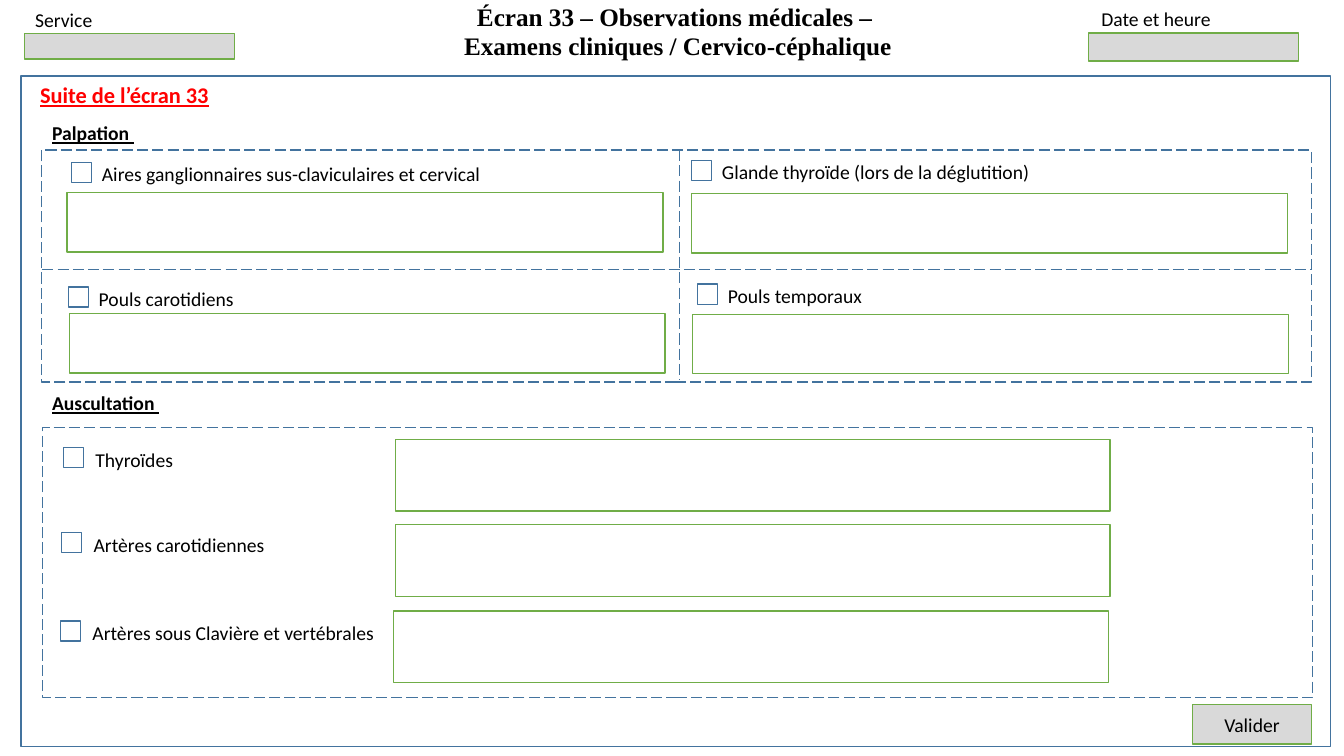
from dataclasses import dataclass
from lxml.etree import SubElement
from pptx import Presentation
from pptx.dml.color import RGBColor
from pptx.enum.dml import MSO_LINE
from pptx.enum.shapes import MSO_CONNECTOR, MSO_SHAPE
from pptx.enum.text import MSO_ANCHOR, MSO_AUTO_SIZE, PP_ALIGN
from pptx.oxml.ns import qn
from pptx.util import Pt

COLORS = {"blue": "43739E", "green": "70AD47", "grey": "D9D9D9",
          "red": "FF0000", "black": "000000"}
BODY = {"name": "Calibri", "size": Pt(14)}
HEADING = BODY | {"bold": True, "underline": True}
BANNER = HEADING | {"size": Pt(16)}
TITLE = {"name": "Times New Roman", "size": Pt(18), "bold": True}
CHECK_SIZE = 14.4
LABEL_HEIGHT = 24.5
LABEL_RISE = 3.6


@dataclass
class Area:
    left: float
    top: float
    width: float
    height: float

    def lengths(self) -> list[Pt]:
        return [Pt(v) for v in (self.left, self.top, self.width, self.height)]


@dataclass
class Finding:
    """A tick box with its label and its entry field."""
    label: str
    check_left: float
    check_top: float
    label_width: float
    field_left: float
    field_top: float


@dataclass
class Section:
    heading: str
    heading_area: Area
    panel: Area
    label_gap: float
    field_size: tuple[float, float]
    findings: list[Finding]


SECTIONS = [
    Section("Palpation ", Area(30.1, 82.8, 73.5, LABEL_HEIGHT),
            Area(29.6, 107.2, 907.2, 165.6), 14.6, (425.5, 42.5), [
        Finding("Aires ganglionnaires sus-claviculaires et cervical",
                51.1, 116, 291.6, 48, 137.5),
        Finding("Glande thyroïde (lors de la déglutition)",
                494, 114.5, 240.5, 494, 138.4),
        Finding("Pouls carotidiens", 48.8, 205, 118.8, 49.6, 224),
        Finding("Pouls temporaux", 498.2, 203, 113, 494.8, 224.5)]),
    Section("Auscultation ", Area(30.1, 275.8, 91.5, LABEL_HEIGHT),
            Area(30.2, 305.4, 907.2, 193), 15.9, (510.5, 51.1), [
        Finding("Thyroïdes", 45.2, 319.7, 70.6, 282.3, 313.9),
        Finding("Artères carotidiennes", 43.9, 380.5, 144, 282.3, 374.8),
        Finding("Artères sous Clavière et vertébrales",
                43.1, 443.5, 221, 281.2, 436.4)]),
]


def rgb(color: str) -> RGBColor:
    return RGBColor.from_string(COLORS[color])


def write(frame, lines: list[str], style: dict, color: str = "black",
          align=PP_ALIGN.LEFT, anchor=MSO_ANCHOR.TOP, spacing: float = 1.0) -> None:
    frame.vertical_anchor = anchor
    for index, line in enumerate(lines):
        para = frame.add_paragraph() if index else frame.paragraphs[0]
        para.alignment, para.line_spacing = align, spacing
        span = para.add_run()
        span.text = line
        span.font.color.rgb = rgb(color)
        for name, value in style.items():
            setattr(span.font, name, value)


def add_text(page, area: Area, text: str, style: dict = BODY, wrap: bool = True,
             **format_values) -> None:
    frame = page.shapes.add_textbox(*area.lengths()).text_frame
    frame.word_wrap = wrap
    frame.auto_size = MSO_AUTO_SIZE.NONE
    write(frame, [text], style, **format_values)


def outline(line, color: str, dashed: bool) -> None:
    line.color.rgb, line.width = rgb(color), Pt(1)
    if dashed:
        line.dash_style = MSO_LINE.LONG_DASH


def add_rectangle(page, area: Area, color: str, fill: str = "", dashed: bool = False):
    box = page.shapes.add_shape(MSO_SHAPE.RECTANGLE, *area.lengths())
    box.shadow.inherit = False
    outline(box.line, color, dashed)
    if fill:
        box.fill.solid()
        box.fill.fore_color.rgb = rgb(fill)
    else:
        box.fill.background()
    return box


def add_divider(page, left: float, top: float, right: float, bottom: float) -> None:
    divider = page.shapes.add_connector(
        MSO_CONNECTOR.STRAIGHT, Pt(left), Pt(top), Pt(right), Pt(bottom))
    outline(divider.line, "blue", True)
    SubElement(divider._element.spPr, qn("a:effectLst"))


def add_section(page, section: Section) -> None:
    add_text(page, section.heading_area, section.heading, HEADING, wrap=False)
    add_rectangle(page, section.panel, "blue", dashed=True)
    for item in section.findings:
        add_rectangle(page, Area(item.check_left, item.check_top,
                                 CHECK_SIZE, CHECK_SIZE), "blue")
        add_text(page, Area(item.check_left + section.label_gap,
                            item.check_top - LABEL_RISE,
                            item.label_width, LABEL_HEIGHT), item.label)
        add_rectangle(page, Area(item.field_left, item.field_top,
                                 *section.field_size), "green")


def add_title(page) -> None:
    title = page.shapes.title
    title.left, title.top, title.width, title.height = Area(
        248.4, 5, 471.6, 42.5).lengths()
    title.text_frame.auto_size = MSO_AUTO_SIZE.NONE
    write(title.text_frame, ["Écran 33 – Observations médicales – ",
                             "Examens cliniques / Cervico-céphalique"],
          TITLE, align=PP_ALIGN.CENTER, anchor=MSO_ANCHOR.BOTTOM, spacing=0.95)


def main() -> None:
    deck = Presentation()
    deck.slide_width, deck.slide_height = Pt(960), Pt(540)
    page = deck.slides.add_slide(deck.slide_layouts[5])
    add_title(page)
    add_rectangle(page, Area(15, 54.4, 935.5, 478.8), "blue")
    add_rectangle(page, Area(17.5, 24, 150, 18.3), "green", "grey")
    add_rectangle(page, Area(777.4, 23.7, 150, 20), "green", "grey")
    add_text(page, Area(18, 2.2, 100.8, LABEL_HEIGHT), "Service")
    add_text(page, Area(779.6, 1.4, 93.6, LABEL_HEIGHT), "Date et heure", wrap=False)
    add_text(page, Area(21.6, 51.1, 162.7, 34.6), "Suite de l’écran 33", BANNER,
             color="red", anchor=MSO_ANCHOR.MIDDLE, spacing=0.95)
    for section in SECTIONS:
        add_section(page, section)
    add_divider(page, 30.2, 192.4, 937.4, 192.4)
    add_divider(page, 485.3, 107.2, 485.3, 271.4)
    button = add_rectangle(page, Area(851.8, 503.3, 85, 28.1), "green", "grey")
    write(button.text_frame, ["Valider"], BODY,
          align=PP_ALIGN.CENTER, anchor=MSO_ANCHOR.MIDDLE)
    deck.save("out.pptx")


if __name__ == "__main__":
    main()
